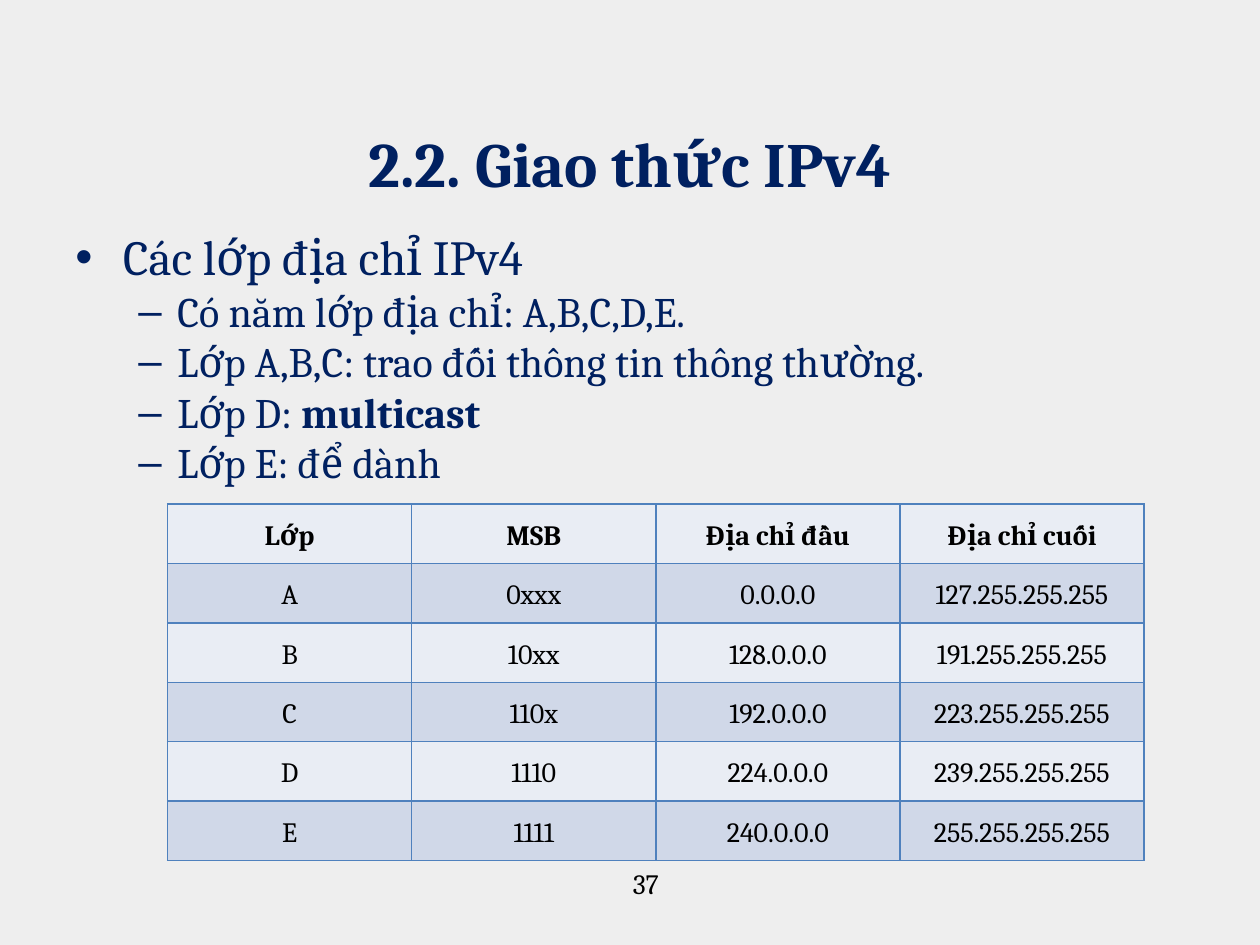
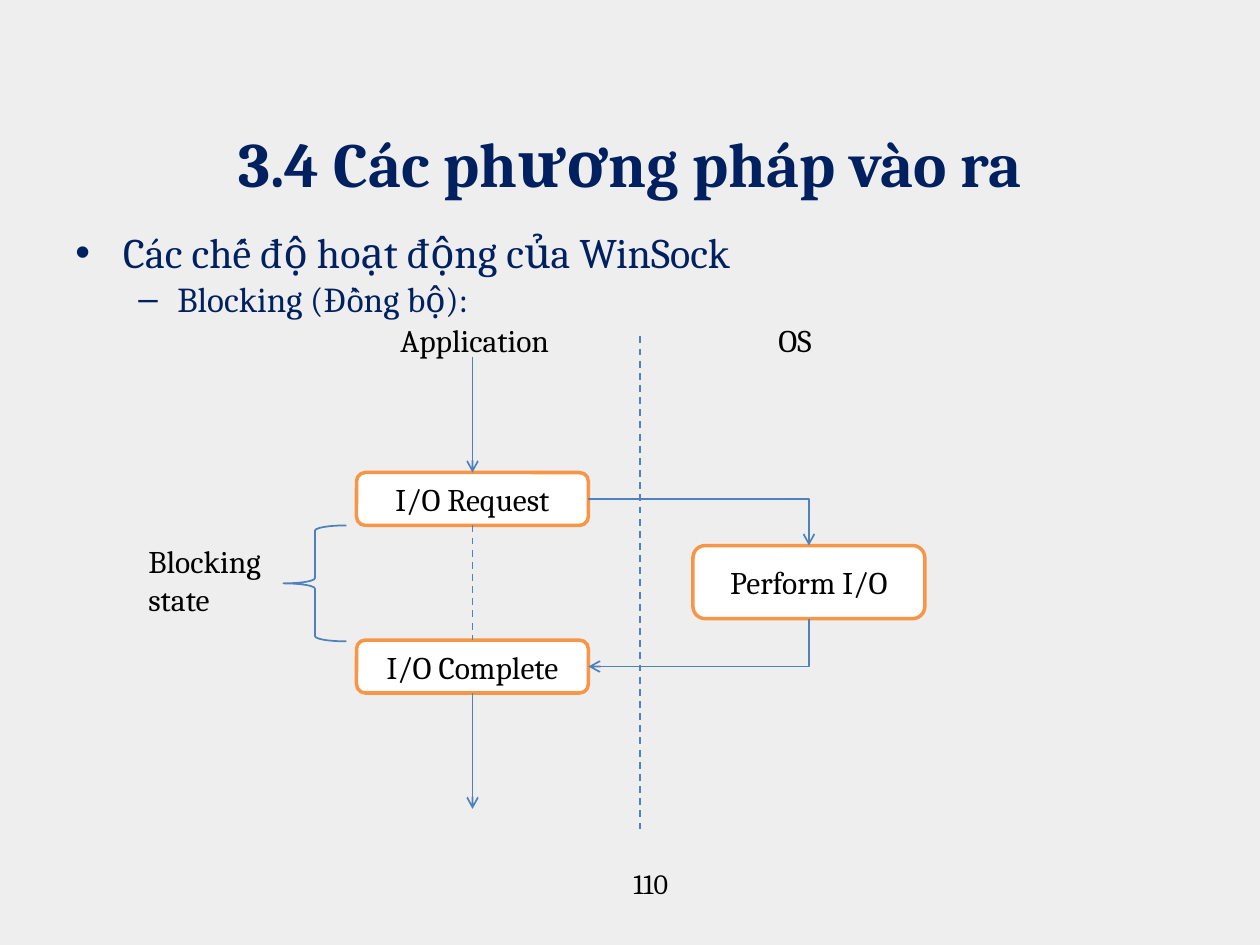
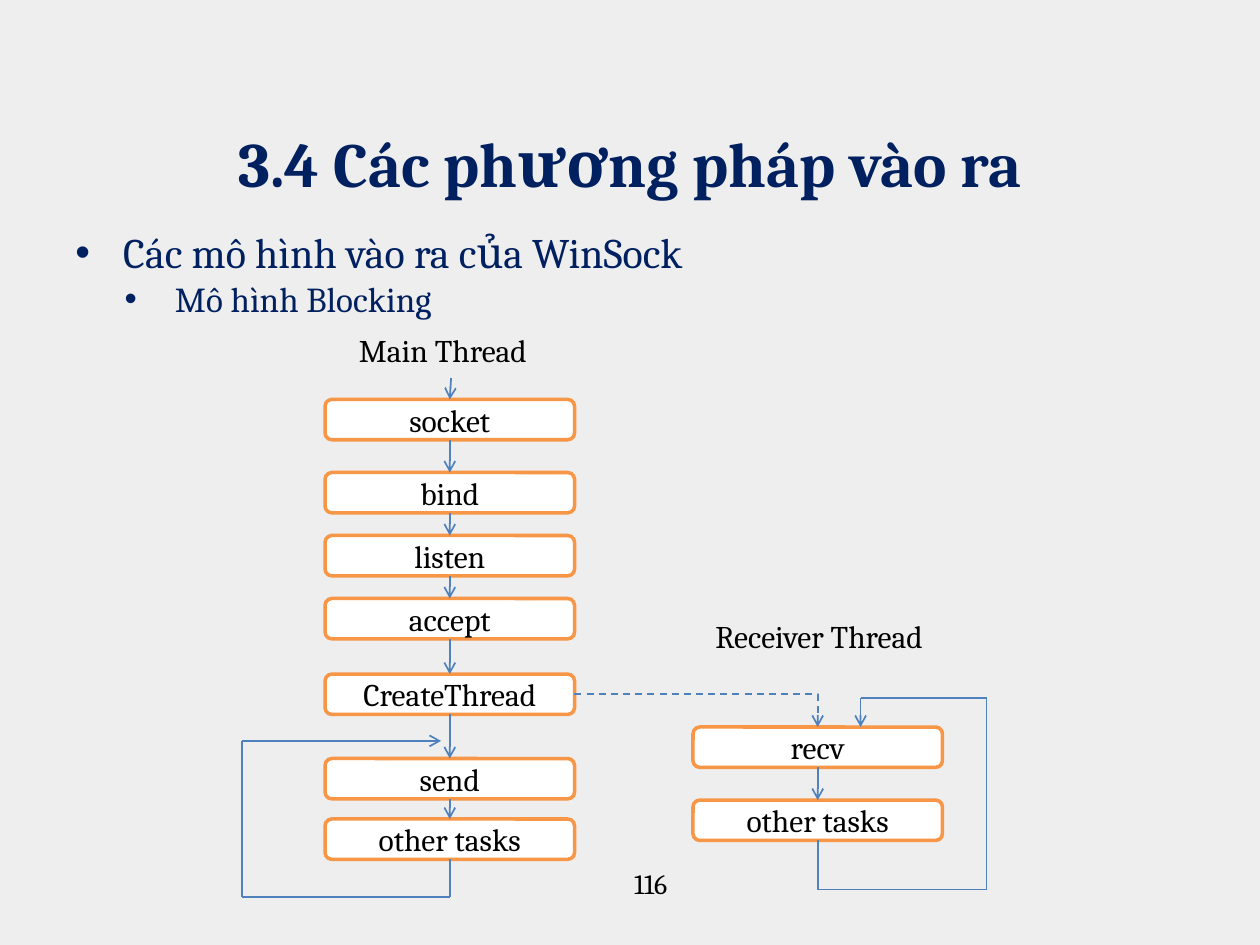
"""Build three slides on network programming: IPv4 classes, blocking I/O and its threads."""

from itertools import pairwise

from lxml.etree import SubElement
from pptx import Presentation
from pptx.dml.color import RGBColor as Rgb
from pptx.enum.dml import MSO_LINE as Dash
from pptx.enum.shapes import MSO_CONNECTOR as Link
from pptx.enum.shapes import MSO_SHAPE as Form
from pptx.enum.text import MSO_ANCHOR as Anchor
from pptx.enum.text import PP_ALIGN as Align
from pptx.oxml.ns import qn
from pptx.util import Inches, Pt

FONT = "Cambria"
HUES = {
    "back": "EEEEEE",
    "navy": "002060",
    "black": "000000",
    "white": "FFFFFF",
    "blue": "4F81BD",
    "orange": "F79646",
    "light": "E9EDF4",
    "dark": "D0D8E8",
}
BULLET = (0, "•", 0.38, 0.38)
HYPHEN = (1, "–", 0.81, 0.31)
INNER = (2, "•", 0.79, 0.4)


def hue(name):
    """Return the named colour."""
    return Rgb.from_string(HUES[name])


def write(para, text, size, tint="black", bold=False):
    """Add one formatted run to a paragraph."""
    run = para.add_run()
    run.text = text
    font = run.font
    font.name, font.size, font.bold = FONT, Pt(size), bold
    font.color.rgb = hue(tint)


def place(shape, left, top, width, height):
    """Move and size a shape in inches."""
    shape.left, shape.top = Inches(left), Inches(top)
    shape.width, shape.height = Inches(width), Inches(height)


def frame(slide, *area):
    """Add an empty wrapping text box and return its text frame."""
    text = slide.shapes.add_textbox(*map(Inches, area)).text_frame
    text.word_wrap = True
    return text


def label(slide, text, *area):
    """Add a plain left-aligned label."""
    write(frame(slide, *area).paragraphs[0], text, 18)


def start(deck, title, number, left=0.83):
    """Add a slide with its title and page number."""
    slide = deck.slides.add_slide(deck.slide_layouts[5])
    head = slide.shapes.title
    place(head, 0.5, 0.39, 9, 1.25)
    head.text_frame.vertical_anchor = Anchor.BOTTOM
    para = head.text_frame.paragraphs[0]
    para.alignment = Align.CENTER
    write(para, title, 36, "navy", True)
    foot = frame(slide, left, 6.83, 9.5 - left, 0.52).paragraphs[0]
    foot.alignment = Align.CENTER
    write(foot, number, 16)
    return slide


def outline(slide, items, width=9):
    """Add the bulleted body from (style, size, runs) items."""
    text = frame(slide, 0.5, 1.75, width, 4.95)
    for index, (style, size, runs) in enumerate(items):
        para = text.add_paragraph() if index else text.paragraphs[0]
        level, mark, margin, hang = style
        para.level = level
        props = para._p.get_or_add_pPr()
        props.set("marL", str(Inches(margin)))
        props.set("indent", str(-Inches(hang)))
        SubElement(props, qn("a:buFont")).set("typeface", "Arial")
        SubElement(props, qn("a:buChar")).set("char", mark)
        for part, bold in runs:
            write(para, part, size, "navy", bold)


def border(cell):
    """Draw thin blue lines around a table cell."""
    props = cell._tc.get_or_add_tcPr()
    for side in ("lnL", "lnR", "lnT", "lnB"):
        edge = SubElement(props, qn(f"a:{side}"), w=str(Pt(1)))
        fill = SubElement(edge, qn("a:solidFill"))
        SubElement(fill, qn("a:srgbClr"), val=HUES["blue"])


def grid(slide, rows, *area):
    """Add a banded table with a bold first row."""
    shape = slide.shapes.add_table(len(rows), len(rows[0]), *map(Inches, area))
    for index, row in enumerate(rows):
        for col, text in enumerate(row):
            cell = shape.table.cell(index, col)
            border(cell)
            cell.fill.solid()
            cell.fill.fore_color.rgb = hue("dark" if index % 2 else "light")
            cell.vertical_anchor = Anchor.MIDDLE
            cell.margin_left = cell.margin_right = 0
            cell.margin_top = cell.margin_bottom = 0
            para = cell.text_frame.paragraphs[0]
            para.alignment, para.line_spacing = Align.CENTER, 1.15
            write(para, text, 16, bold=index == 0)


def box(slide, text, *area):
    """Add a white rounded box with an orange outline."""
    shape = slide.shapes.add_shape(Form.ROUNDED_RECTANGLE, *map(Inches, area))
    shape.shadow.inherit = False
    shape.fill.solid()
    shape.fill.fore_color.rgb = hue("white")
    shape.line.color.rgb, shape.line.width = hue("orange"), Pt(2)
    shape.text_frame.vertical_anchor = Anchor.MIDDLE
    para = shape.text_frame.paragraphs[0]
    para.alignment = Align.CENTER
    write(para, text, 18)
    return shape


def brace(slide, *area):
    """Add a blue left brace."""
    shape = slide.shapes.add_shape(Form.LEFT_BRACE, *map(Inches, area))
    shape.shadow.inherit = False
    shape.fill.background()
    shape.line.color.rgb, shape.line.width = hue("blue"), Pt(1)


def spot(end):
    """Return the position of an (x, y) or (shape, side) end."""
    first, side = end
    if isinstance(first, (int, float)):
        return Inches(first), Inches(side)
    across, down = ((1, 0), (0, 1), (1, 2), (2, 1))[side]
    return (first.left + first.width * across // 2,
            first.top + first.height * down // 2)


def line(slide, tail, tip, arrow=True, dash=False, kind=Link.STRAIGHT):
    """Add a blue connector, joined to any shapes at its ends."""
    link = slide.shapes.add_connector(kind, *spot(tail), *spot(tip))
    for end, join in ((tail, link.begin_connect), (tip, link.end_connect)):
        if not isinstance(end[0], (int, float)):
            join(*end)
    link.line.color.rgb, link.line.width = hue("blue"), Pt(1)
    if dash:
        link.line.dash_style = Dash.DASH
    if arrow:
        SubElement(link.line._get_or_add_ln(), qn("a:tailEnd"), type="arrow")
    SubElement(link._element.spPr, qn("a:effectLst"))
    return link


def bend(slide, tail, tip, turn=False, dash=False):
    """Add a one-corner arrow going right then down, or turned down then left."""
    link = line(slide, tail, tip, dash=dash, kind=Link.ELBOW)
    props = link._element.spPr
    props.find(qn("a:prstGeom")).set("prst", "bentConnector2")
    if turn:
        (ax, ay), (bx, by) = spot(tail), spot(tip)
        wide, high = by - ay, ax - bx
        form = props.find(qn("a:xfrm"))
        form.attrib.pop("flipH", None)
        form.set("rot", str(90 * 60000))
        link.left, link.top = (ax + bx - wide) // 2, (ay + by - high) // 2
        link.width, link.height = wide, high


def route(slide, *ends):
    """Draw a chain of straight legs with an arrow on the last."""
    legs = list(pairwise(ends))
    for index, (tail, tip) in enumerate(legs, 1):
        line(slide, tail, tip, arrow=index == len(legs))


def classes(deck):
    """Build the slide on IPv4 address classes."""
    slide = start(deck, "2.2. Giao thức IPv4", "37", 0.75)
    outline(slide, [
        (BULLET, 28, [("Các lớp địa chỉ IPv4", False)]),
        (HYPHEN, 24, [("Có năm lớp địa chỉ: A,B,C,D,E.", False)]),
        (HYPHEN, 24, [("Lớp A,B,C: trao đối thông tin thông thường.", False)]),
        (HYPHEN, 24, [("Lớp D: ", False), ("multicast", True)]),
        (HYPHEN, 24, [("Lớp E: để dành", False)]),
    ], 8.83)
    grid(slide, [
        ("Lớp", "MSB", "Địa chỉ đầu", "Địa chỉ cuối"),
        ("A", "0xxx", "0.0.0.0", "127.255.255.255"),
        ("B", "10xx", "128.0.0.0", "191.255.255.255"),
        ("C", "110x", "192.0.0.0", "223.255.255.255"),
        ("D", "1110", "224.0.0.0", "239.255.255.255"),
        ("E", "1111", "240.0.0.0", "255.255.255.255"),
    ], 1.33, 4, 7.75, 2.83)


def blocking(deck):
    """Build the slide on the blocking mode."""
    slide = start(deck, "3.4 Các phương pháp vào ra", "110")
    outline(slide, [
        (BULLET, 24, [("Các chế độ hoạt động của WinSock", False)]),
        (HYPHEN, 20, [("Blocking (Đồng bộ):", False)]),
    ])
    ask = box(slide, "I/O Request", 2.83, 3.75, 1.84, 0.42)
    done = box(slide, "I/O Complete", 2.83, 5.08, 1.84, 0.42)
    work = box(slide, "Perform I/O", 5.5, 4.33, 1.84, 0.58)
    line(slide, (3.75, 2.83), (ask, 0))
    line(slide, (5.08, 2.67), (5.08, 6.58), arrow=False, dash=True)
    line(slide, (ask, 2), (done, 0), arrow=False, dash=True)
    line(slide, (done, 2), (3.75, 6.42))
    bend(slide, (ask, 3), (work, 0))
    bend(slide, (work, 2), (done, 3), turn=True)
    brace(slide, 2.25, 4.17, 0.5, 0.92)
    label(slide, "Blocking state", 1.08, 4.25, 1.17, 0.71)
    label(slide, "Application", 3.08, 2.5, 1.75, 0.4)
    label(slide, "OS", 6.08, 2.5, 0.92, 0.4)


def stack(slide, left, steps):
    """Add a column of boxes linked by arrows."""
    boxes = [box(slide, text, left, top, 1.98, 0.32) for text, top in steps]
    for upper, lower in pairwise(boxes):
        line(slide, (upper, 2), (lower, 0))
    return boxes


def threads(deck):
    """Build the slide on the main and receiver threads."""
    slide = start(deck, "3.4 Các phương pháp vào ra", "116")
    outline(slide, [
        (BULLET, 24, [("Các mô hình vào ra của WinSock", False)]),
        (INNER, 20, [("Mô hình Blocking", False)]),
    ])
    label(slide, "Main Thread", 2.75, 2.58, 2.17, 0.4)
    label(slide, "Receiver Thread", 5.58, 4.85, 2.17, 0.4)
    main_col = stack(slide, 2.58, [
        ("socket", 3.17), ("bind", 3.75), ("listen", 4.25), ("accept", 4.75),
        ("CreateThread", 5.35), ("send", 6.02), ("other tasks", 6.5),
    ])
    side_col = stack(slide, 5.5, [("recv", 5.77), ("other tasks", 6.35)])
    line(slide, (3.58, 3), (main_col[0], 0))
    bend(slide, (main_col[4], 3), (side_col[0], 0), dash=True)
    route(slide, (main_col[-1], 2), (3.57, 7.12), (1.92, 7.12),
          (1.92, 5.88), (3.5, 5.88))
    route(slide, (side_col[-1], 2), (6.49, 7.06), (7.83, 7.06),
          (7.83, 5.54), (6.83, 5.54), (6.83, 5.77))


def main():
    """Build and save the deck."""
    deck = Presentation()
    deck.slide_width, deck.slide_height = Inches(10), Inches(7.5)
    fill = deck.slide_master.background.fill
    fill.solid()
    fill.fore_color.rgb = hue("back")
    for build in (classes, blocking, threads):
        build(deck)
    deck.save("out.pptx")


if __name__ == "__main__":
    main()
